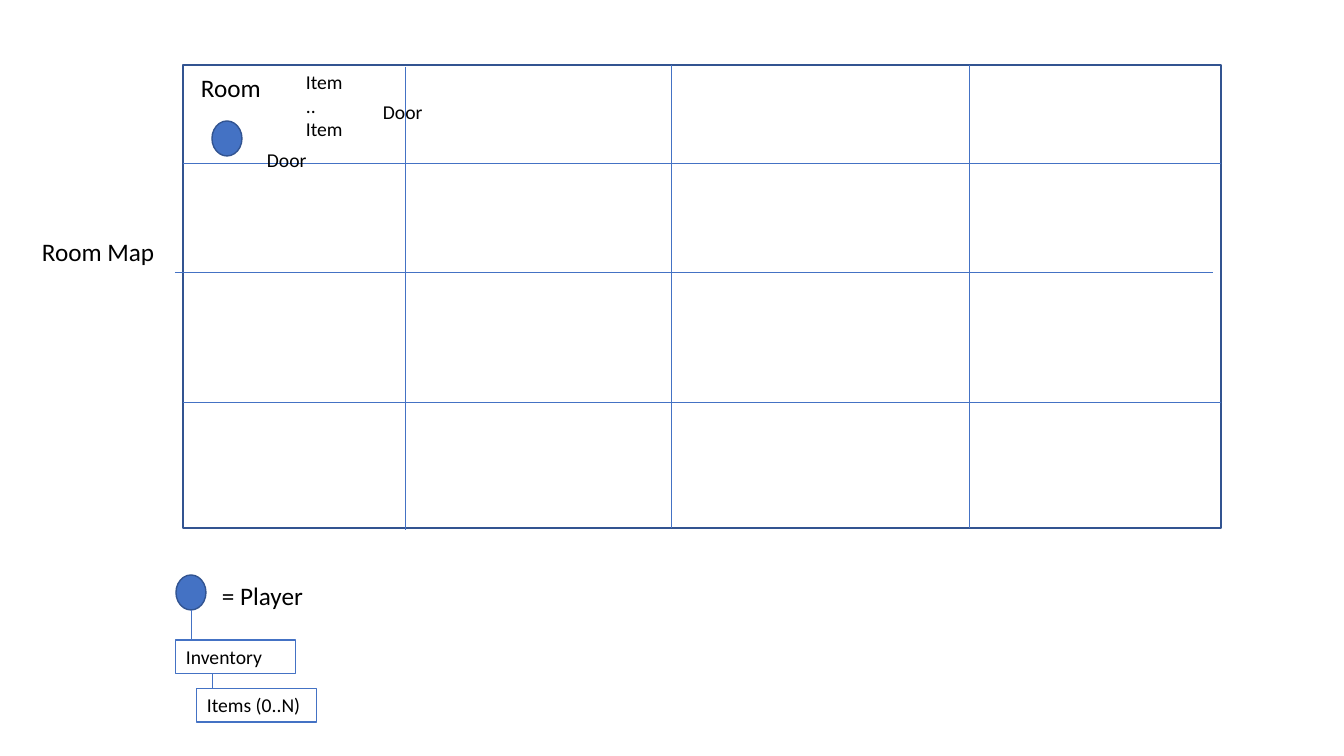
from lxml import etree
from pptx import Presentation
from pptx.dml.color import RGBColor
from pptx.enum.shapes import MSO_CONNECTOR, MSO_SHAPE
from pptx.oxml.ns import qn
from pptx.util import Pt

PX = 914400 / 100.8
RECT, OVAL, STRAIGHT = MSO_SHAPE.RECTANGLE, MSO_SHAPE.OVAL, MSO_CONNECTOR.STRAIGHT
BLUE = RGBColor(0x44, 0x72, 0xC4)
NAVY = RGBColor(0x32, 0x54, 0x91)
BLACK = RGBColor(0, 0, 0)


def emu(*pixels):
    return [round(v * PX) for v in pixels]


def write(sp, text, size=14, wrap=True):
    tf = sp.text_frame
    tf.word_wrap = wrap
    for i, line in enumerate(text.split("\n")):
        p = tf.add_paragraph() if i else tf.paragraphs[0]
        r = p.add_run()
        r.text = line
        r.font.name, r.font.size = "Calibri", Pt(size)
        r.font.color.rgb = BLACK


def add_text(s, text, x, y, w, h, **fmt):
    write(s.shapes.add_textbox(*emu(x, y, w, h)), text, **fmt)


def add_shape(s, kind, x, y, w, h, fill=None, line=NAVY, weight=1):
    sp = s.shapes.add_shape(kind, *emu(x, y, w, h))
    sp.shadow.inherit = False
    if fill is None:
        sp.fill.background()
    else:
        sp.fill.solid()
        sp.fill.fore_color.rgb = fill
    sp.line.color.rgb, sp.line.width = line, Pt(weight)
    return sp


def add_line(s, x1, y1, x2, y2):
    c = s.shapes.add_connector(STRAIGHT, *emu(x1, y1, x2, y2))
    c.line.color.rgb, c.line.width = BLUE, Pt(0.5)
    etree.SubElement(c._element.spPr, qn("a:effectLst"))


def add_player(s, x, y):
    add_shape(s, OVAL, x, y, 30, 35, fill=BLUE)


def room_map(s, x, y, w, h):
    add_shape(s, RECT, x, y, w, h)
    # Walls: distance from the map's edge, shift along the wall
    for dy, shift in ((98, 0), (207, -8), (337, 0)):
        add_line(s, x + shift, y + dy, x + shift + w, y + dy)
    for dx, shift in ((222, 2), (488, 0), (786, 0)):
        add_line(s, x + dx, y + shift, x + dx, y + shift + h)
    add_text(s, "Room Map", x - 151, y + 166, 134, 40, size=18, wrap=False)
    # First room
    add_text(s, "Room", x + 8, y + 2, 100, 40, size=18)
    add_text(s, "Door", x + 190, y + 30, 81, 34)
    add_text(s, "Door", x + 74, y + 78, 81, 34)
    add_text(s, "Item\n..\nItem", x + 113, y, 81, 82)
    add_player(s, x + 29, y + 56)


def player_key(s, x, y):
    add_player(s, x, y)
    add_text(s, "= Player", x + 36, y, 102, 40, size=18, wrap=False)
    # Inventory tree
    for text, dx, dy in (("Inventory", 0, 65), ("Items (0..N)", 21, 113)):
        sp = add_shape(s, RECT, x + dx, y + dy, 120, 34, line=BLUE, weight=0.75)
        write(sp, text)
        sp.text_frame.paragraphs[0].alignment = None
    add_line(s, x + 15, y + 35, x + 15, y + 65)
    add_line(s, x + 36, y + 99, x + 36, y + 113)


prs = Presentation()
prs.slide_width, prs.slide_height = emu(1344, 756)
s = prs.slides.add_slide(prs.slide_layouts[6])
room_map(s, 183, 65, 1038, 463)
player_key(s, 176, 575)
prs.save("out.pptx")
